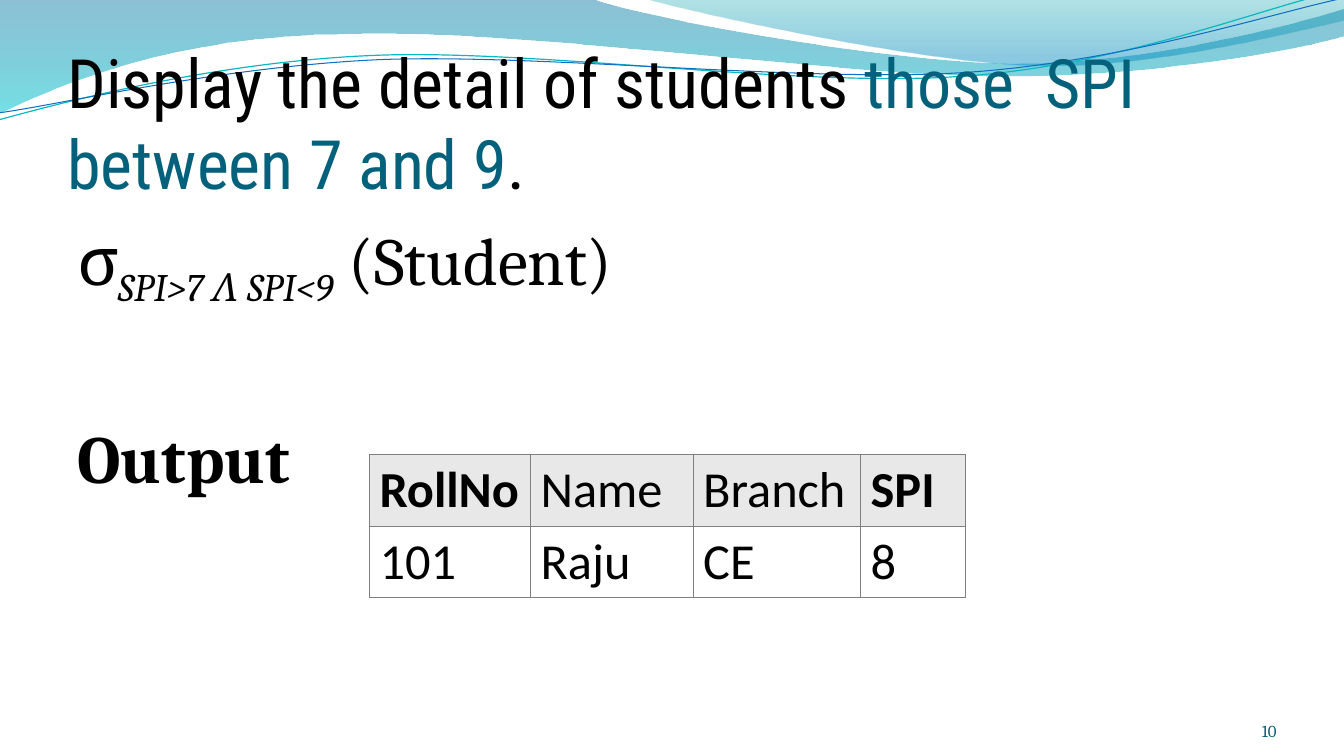
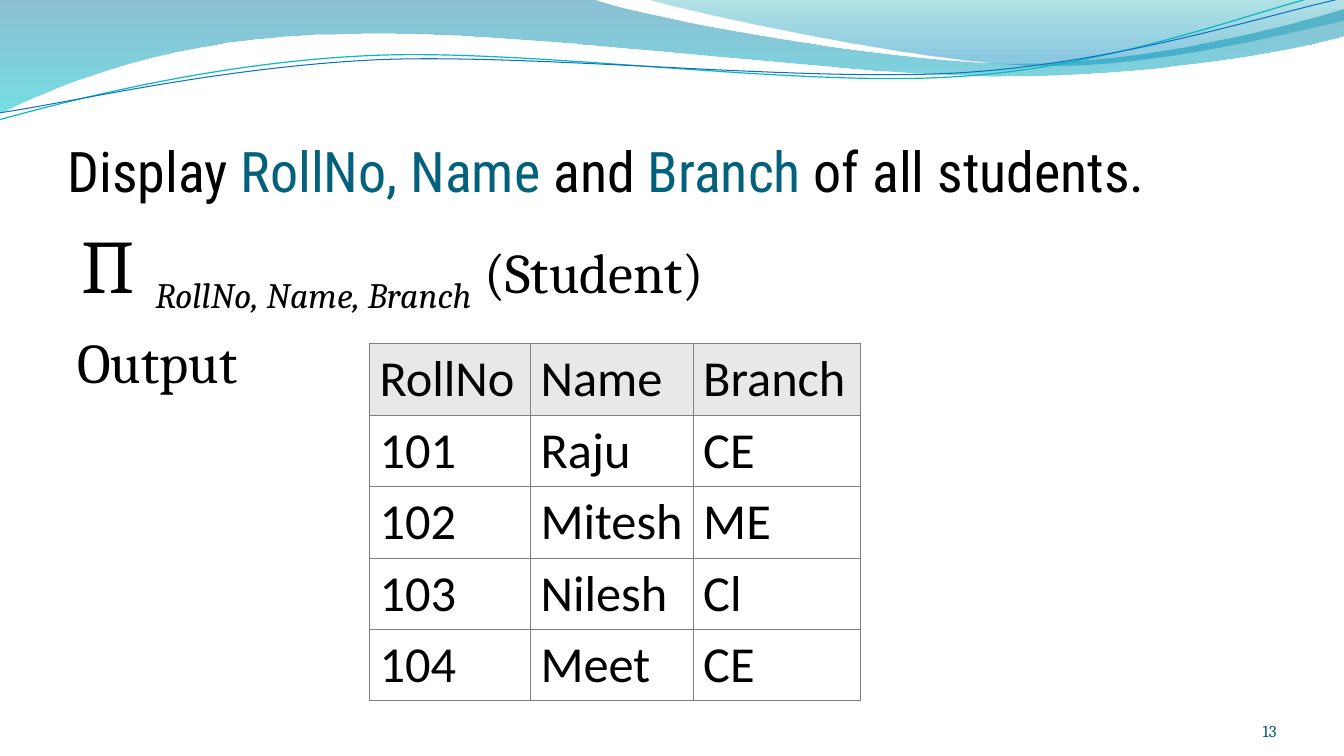
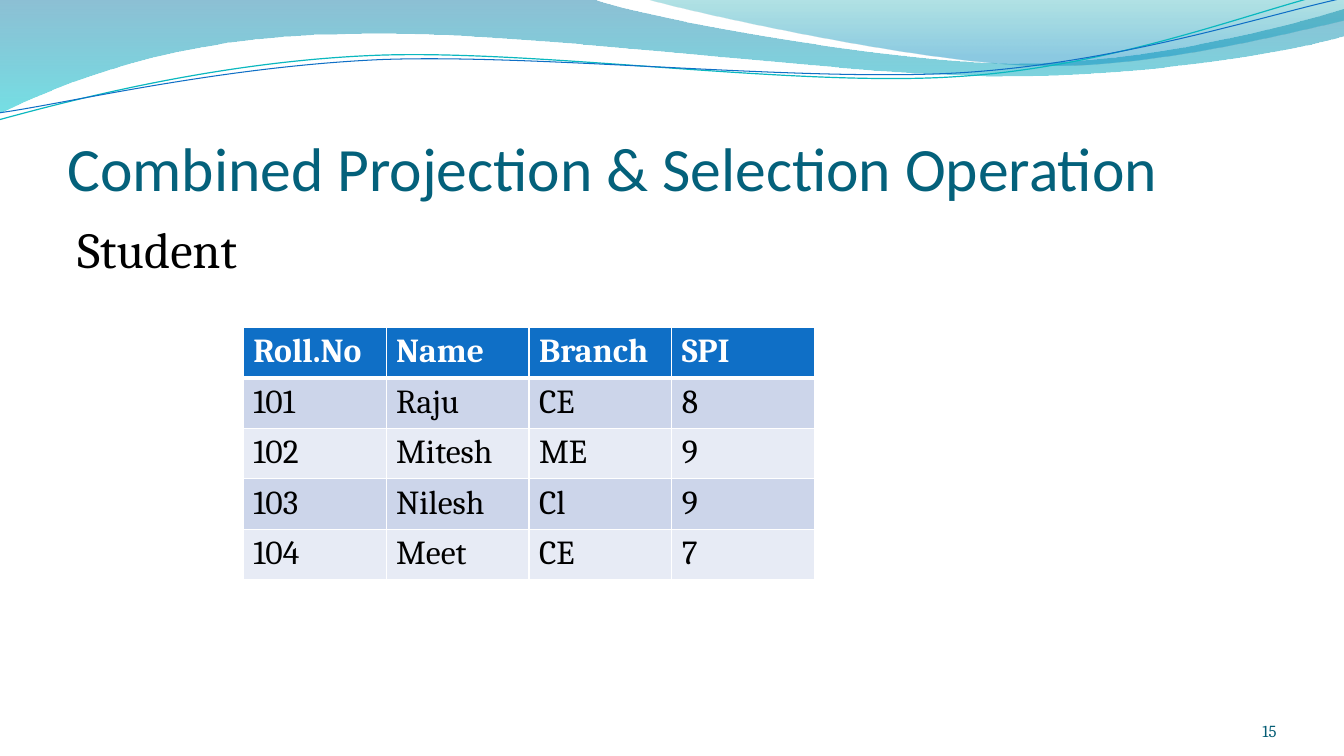
from dataclasses import dataclass
from math import cos, radians, sin

from lxml.etree import SubElement
from pptx import Presentation
from pptx.dml.color import RGBColor
from pptx.enum.text import MSO_ANCHOR, PP_ALIGN
from pptx.oxml.ns import qn
from pptx.util import Cm, Pt


@dataclass(frozen=True)
class Theme:
    # Fonts
    serif: str = "Cambria"
    sans: str = "Calibri"
    condensed: str = "Roboto Condensed"
    # Colours
    ink: str = "000000"
    white: str = "FFFFFF"
    accent: str = "04617B"
    page: str = "045D75"
    blue: str = "0F6FC6"
    teal: str = "0AB8BF"
    grid: str = "7F7F7F"
    head: str = "E8E8E8"
    stripes: tuple = ("CCD5EA", "E7EBF5")
    wide_wave: tuple = ((0, "0074A1", 45), (1, "00C6CF", 55))
    right_wave: tuple = ((0, "00A1A9", 30), (0.8, "008BBF", 45))
    # Type sizes
    page_size: float = 12
    small_table: float = 24
    large_table: float = 36
    student: float = 36
    projection: float = 40
    subscript: float = 44
    heading: float = 44
    selection: float = 48
    question: float = 48.6
    pi_sign: float = 54


THEME = Theme()
WIDTH, HEIGHT = 33.87, 19.05

# Waves in cm: a start point, then lines (one point) and curves (three points)
WIDE_WAVE = [
    (0, 0), [(14.91, -0.03)],
    [(16.1, 0.43), (22.45, 1.6), (25.68, 1.6)],
    [(28.88, 1.6), (32.44, 0.66), (33.86, 0.23)],
    [(33.88, 0.91)],
    [(33.3, 1.12), (29.44, 1.93), (25.25, 1.92)],
    [(21.06, 1.92), (12.93, 0.71), (8.71, 0.87)],
    [(4.37, 0.91), (1.55, 2.11), (-0.03, 2.87)],
]
RIGHT_WAVE = [
    (16.23, -0.03),
    [(17.25, 0.28), (23.09, 1.57), (26.04, 1.65)],
    [(28.96, 1.75), (32.56, 0.81), (33.86, 0.53)],
    [(33.86, 0)],
]
TEAL_STRAND = [
    (-0.03, 3.02),
    [(1.63, 2.57), (5.36, 1.57), (9.37, 1.4)],
    [(13.39, 1.22), (20.04, 2.21), (24.13, 1.93)],
    [(28.19, 1.68), (31.78, 0.2), (33.81, -0.25)],
]
BLUE_STRAND = [
    (0, 2.84),
    [(1.6, 2.62), (5.54, 1.68), (9.6, 1.5)],
    [(13.64, 1.35), (20.22, 2.08), (24.26, 1.83)],
    [(28.3, 1.57), (31.95, 0.36), (33.86, -0.05)],
]
STRAND_CENTRE = (16.9, 1.48)
STRAND_TILT = 2.7


def level(point):
    """Turn a strand point back to its untilted place."""
    dx, dy = (value - middle for value, middle in zip(point, STRAND_CENTRE))
    c, s = cos(radians(STRAND_TILT)), sin(radians(STRAND_TILT))
    return STRAND_CENTRE[0] + dx * c - dy * s, STRAND_CENTRE[1] + dx * s + dy * c


class Deck:
    def __init__(self, theme):
        self.theme = theme
        self.show = Presentation()
        self.show.slide_width, self.show.slide_height = Cm(WIDTH), Cm(HEIGHT)
        self.slide = None

    def new_slide(self, number, title, size, font):
        """Start a slide with its waves, title and page number."""
        theme = self.theme
        self.slide = self.show.slides.add_slide(self.show.slide_layouts[6])
        self.wave(WIDE_WAVE, theme.wide_wave)
        self.wave(RIGHT_WAVE, theme.right_wave)
        self.strand(TEAL_STRAND, theme.teal, 0.85)
        self.strand(BLUE_STRAND, theme.blue, 0.75)
        styled = [(words, {"size": size, "font": font, "color": color})
                  for words, color in title]
        self.text((1.7, 1.96, 30.48, 3.17), [(0, styled)],
                  anchor=MSO_ANCHOR.BOTTOM, insets=(0, 0.13, 0, 0))
        page = {"size": theme.page_size, "color": theme.page}
        self.text((29.35, 17.65, 2.82, 1.02), [(0, [(number, page)])],
                  anchor=MSO_ANCHOR.BOTTOM, insets=(0, 0, 0, 0), align=PP_ALIGN.RIGHT)

    def outline(self, start, segments, close):
        """Draw an outline; each three-point segment becomes a Bezier curve."""
        corners = [(Cm(x), Cm(y)) for segment in segments for x, y in segment]
        builder = self.slide.shapes.build_freeform(*map(Cm, start))
        builder.add_line_segments(corners, close=close)
        shape = builder.convert_to_shape()
        shape.shadow.inherit = False
        lines = iter(list(shape._element.iter(qn("a:lnTo"))))
        for segment in segments:
            first, *others = [next(lines) for _ in segment]
            if others:
                first.tag = qn("a:cubicBezTo")
                for line in others:
                    first.append(line[0])
                    line.getparent().remove(line)
        return shape

    def wave(self, outline, stops):
        shape = self.outline(outline[0], outline[1:], close=True)
        shape.line.fill.background()
        shape.fill.gradient()
        shape.fill.gradient_angle = 270
        for stop, (position, color, opacity) in zip(shape.fill.gradient_stops, stops):
            stop.position = position
            stop.color.rgb = RGBColor.from_string(color)
            rgb = stop._gs.find(qn("a:srgbClr"))
            SubElement(rgb, qn("a:alpha")).set("val", str(opacity * 1000))

    def strand(self, outline, color, width):
        segments = [[level(point) for point in segment] for segment in outline[1:]]
        shape = self.outline(level(outline[0]), segments, close=False)
        shape.rotation = 360 - STRAND_TILT
        shape.fill.background()
        shape.line.color.rgb = RGBColor.from_string(color)
        shape.line.width = Pt(width)

    def run(self, paragraph, words, size, font=None, color=None,
            bold=False, italic=False, sub=False):
        run = paragraph.add_run()
        run.text = words
        formats = {"name": font or self.theme.serif, "size": Pt(size),
                   "bold": bold, "italic": italic}
        for attribute, value in formats.items():
            setattr(run.font, attribute, value)
        run.font.color.rgb = RGBColor.from_string(color or self.theme.ink)
        if sub:
            run._r.get_or_add_rPr().set("baseline", "-25000")

    def text(self, box, paragraphs, anchor=MSO_ANCHOR.TOP,
             insets=(0.25, 0.13, 0.25, 0.13), align=PP_ALIGN.LEFT):
        """Place paragraphs, each given as (space before, runs)."""
        frame = self.slide.shapes.add_textbox(*map(Cm, box)).text_frame
        left, top, right, bottom = map(Cm, insets)
        formats = {"word_wrap": True, "vertical_anchor": anchor,
                   "margin_left": left, "margin_top": top,
                   "margin_right": right, "margin_bottom": bottom}
        for attribute, value in formats.items():
            setattr(frame, attribute, value)
        for index, (space, runs) in enumerate(paragraphs):
            paragraph = frame.add_paragraph() if index else frame.paragraphs[0]
            paragraph.alignment = align
            paragraph.space_before = Pt(space)
            for words, style in runs:
                self.run(paragraph, words, **style)

    def body(self, *paragraphs):
        self.text((1.7, 5.36, 30.48, 12.19), paragraphs)

    def borders(self, cell, color, widths):
        properties = cell._tc.get_or_add_tcPr()
        for side, width in zip("LRTB", widths):
            line = SubElement(properties, qn(f"a:ln{side}"), w=str(Pt(width)))
            fill = SubElement(line, qn("a:solidFill"))
            SubElement(fill, qn("a:srgbClr"), val=color)

    def table(self, left, top, columns, row_height, rows, style):
        """Draw a table; style(row, column) gives fill, borders, anchor and text."""
        table = self.slide.shapes.add_table(
            len(rows), len(columns), Cm(left), Cm(top),
            Cm(sum(columns)), Cm(row_height * len(rows))).table
        table.first_row = table.horz_banding = False
        for column, width in zip(table.columns, columns):
            column.width = Cm(width)
        for r, values in enumerate(rows):
            table.rows[r].height = Cm(row_height)
            for c, value in enumerate(values):
                fill, border, widths, anchor, text = style(r, c)
                cell = table.cell(r, c)
                self.borders(cell, border, widths)
                cell.fill.solid()
                cell.fill.fore_color.rgb = RGBColor.from_string(fill)
                cell.vertical_anchor = anchor
                self.run(cell.text_frame.paragraphs[0], value, **text)

    def result_table(self, top, rows, bold_heads=()):
        """Grey-headed output of a query."""
        theme = self.theme

        def style(r, c):
            text = {"size": theme.large_table, "font": theme.sans,
                    "bold": r == 0 and rows[0][c] in bold_heads}
            return (theme.white if r else theme.head, theme.grid, [0.75] * 4,
                    MSO_ANCHOR.TOP if r else MSO_ANCHOR.MIDDLE, text)

        widths = [4.06, 4.1, 4.22, 2.65][:len(rows[0])]
        self.table(9.31, top, widths, 1.8, rows, style)

    def source_table(self, left, top, rows):
        """Blue-headed, striped relation."""
        theme = self.theme

        def style(r, c):
            head = r == 0
            text = {"size": theme.small_table, "bold": head,
                    "color": theme.white if head else theme.ink}
            return (theme.blue if head else theme.stripes[(r - 1) % 2], theme.white,
                    [1, 1, 3 if r == 1 else 1, 3 if head else 1],
                    MSO_ANCHOR.TOP, text)

        self.table(left, top, [3.6] * len(rows[0]), 1.27, rows, style)


# Relation shared by the slides
students = [
    ("101", "Raju", "CE", "8"),
    ("102", "Mitesh", "ME", "9"),
    ("103", "Nilesh", "Cl", "9"),
    ("104", "Meet", "CE", "7"),
]
heads = ("RollNo", "Name", "Branch", "SPI")
deck = Deck(THEME)

# Selection
deck.new_slide("10", [("Display the detail of students ", THEME.ink),
                      ("those  SPI between 7 and 9", THEME.accent),
                      (".", THEME.ink)], THEME.question, THEME.condensed)
selection = {"size": THEME.selection}
deck.body(
    (0, [("σ", selection),
         ("SPI>7 Λ SPI<9", {**selection, "italic": True, "sub": True}),
         (" (Student)", selection)]),
    (76.5, [("Output", {**selection, "bold": True})]),
)
deck.result_table(11.46, [heads, students[0]], bold_heads=("RollNo", "SPI"))

# Projection
deck.new_slide("13", [("Display ", THEME.ink), ("RollNo, Name ", THEME.accent),
                      ("and ", THEME.ink), ("Branch", THEME.accent),
                      (" of all students.", THEME.ink)],
               THEME.projection, THEME.condensed)
projection = {"size": THEME.projection}
deck.body(
    (0, [("∏ ", {"size": THEME.pi_sign}),
         ("RollNo, Name, Branch", {"size": THEME.subscript, "italic": True, "sub": True}),
         (" (Student)", projection)]),
    (8, [("Output", projection)]),
)
deck.result_table(8.66, [row[:3] for row in (heads, *students)])

# Combined operation
deck.new_slide("15", [("Combined Projection & Selection Operation", THEME.accent)],
               THEME.heading, THEME.sans)
deck.body((0, [("Student", {"size": THEME.student})]))
deck.source_table(6.13, 8.25, [("Roll.No", *heads[1:]), *students])

deck.show.save("out.pptx")
